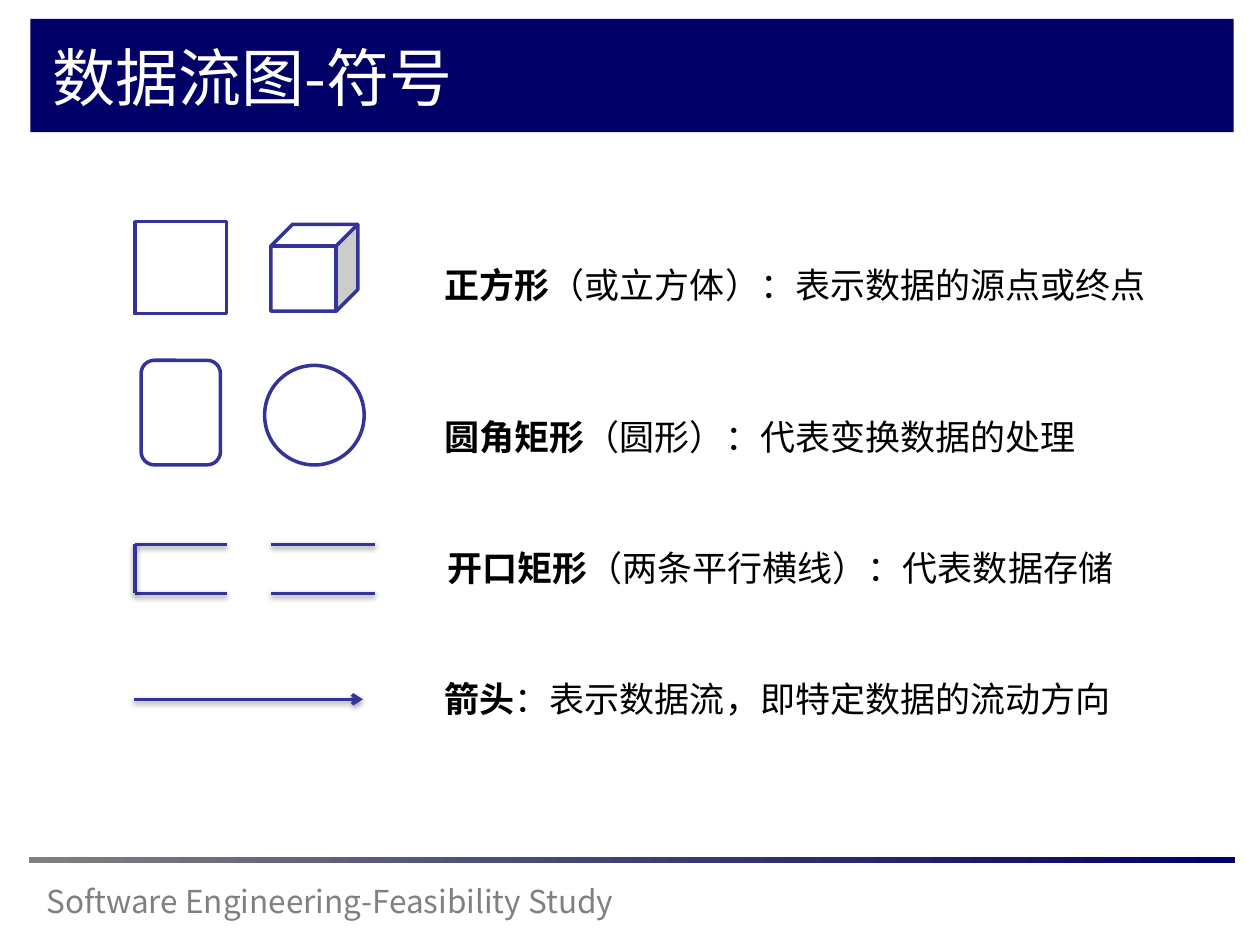
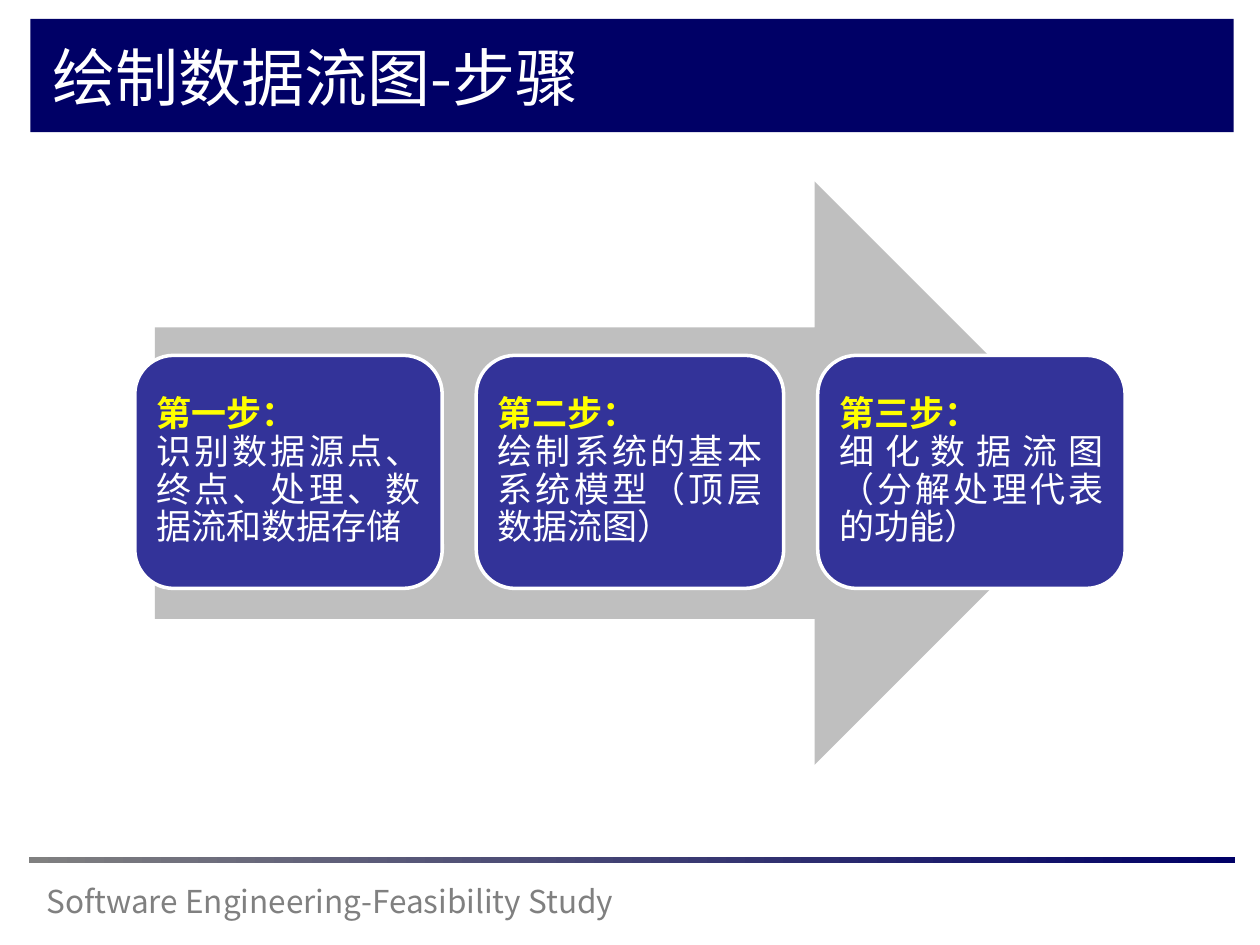
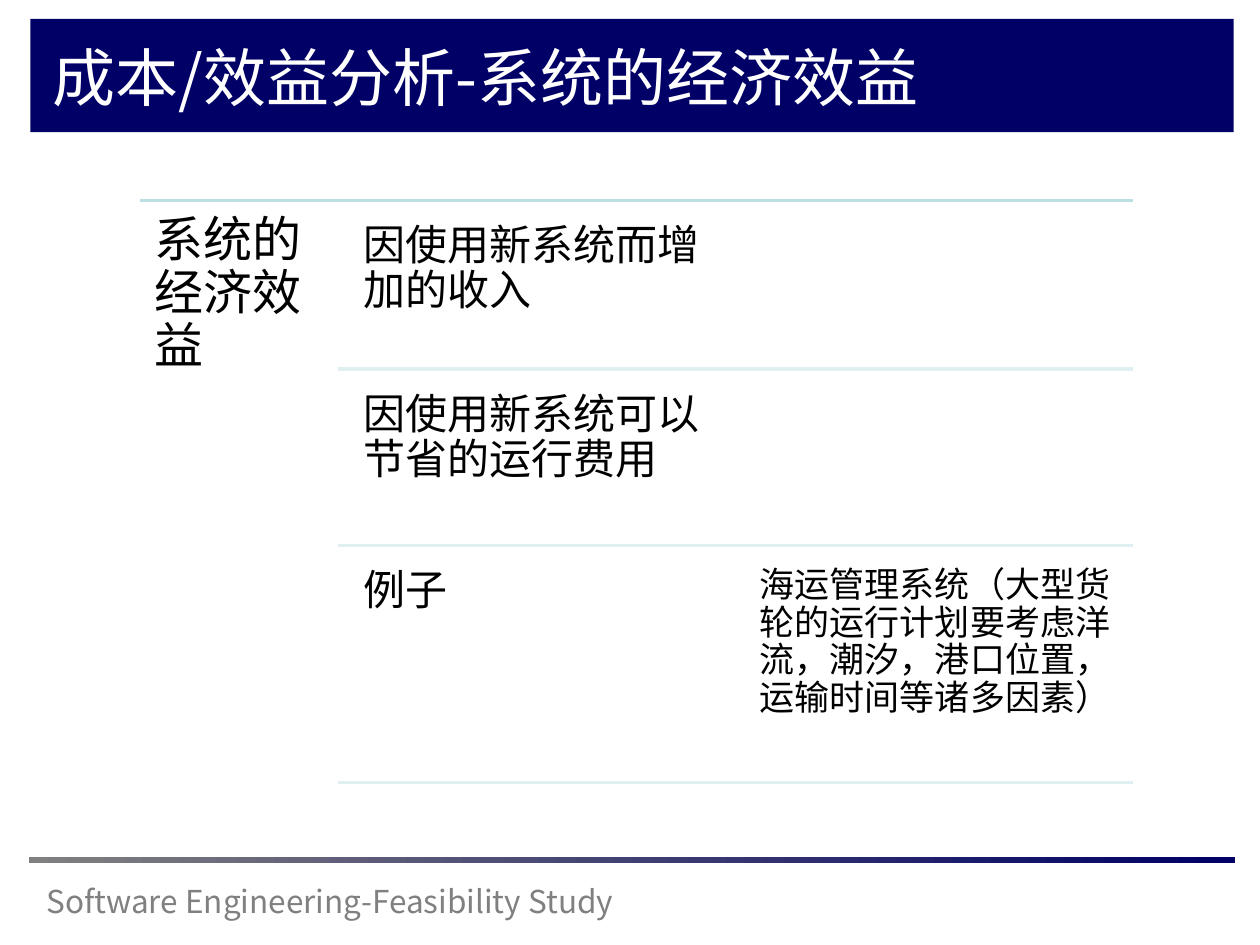
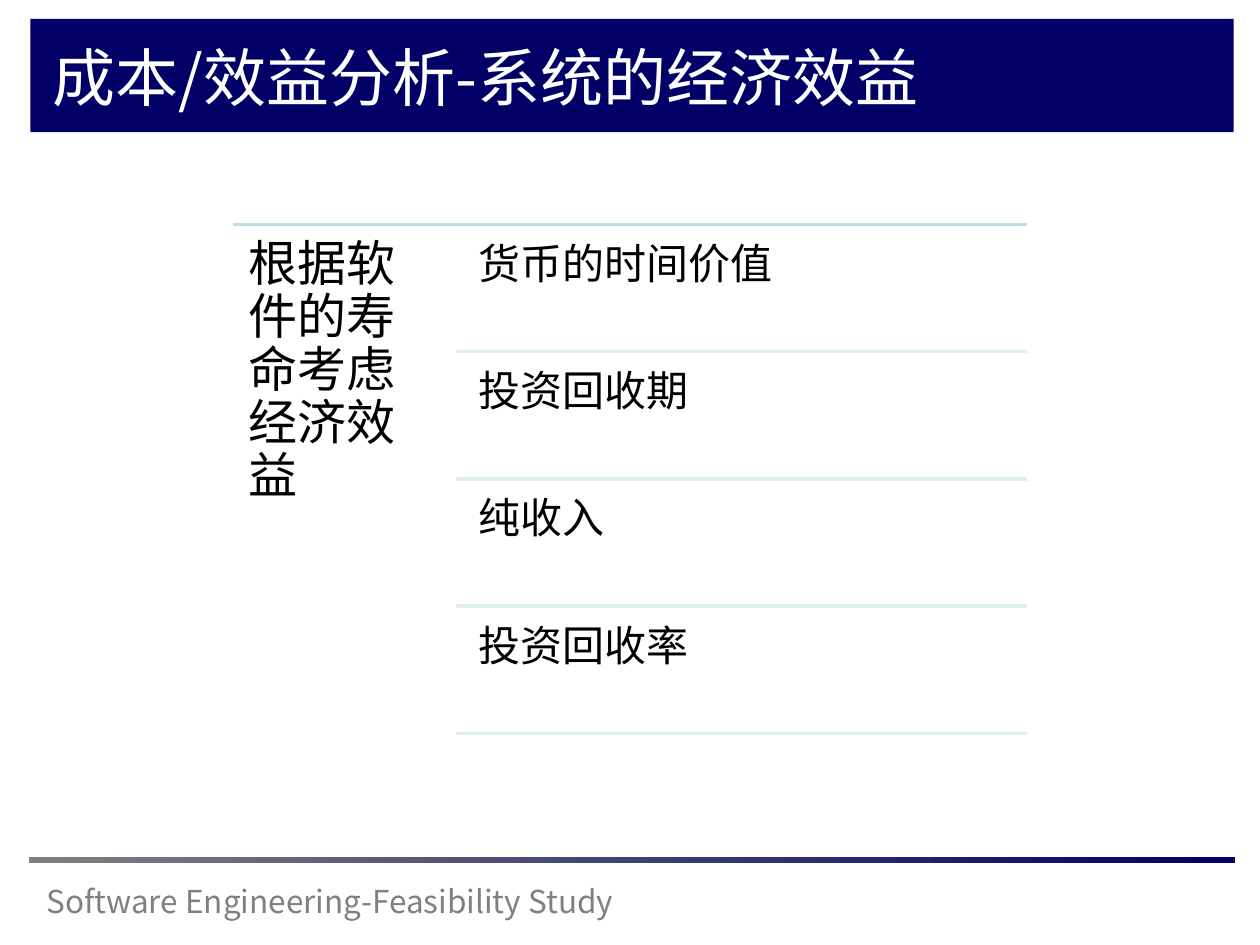
from dataclasses import dataclass
from itertools import pairwise

from lxml.etree import SubElement
from pptx import Presentation
from pptx.dml.color import RGBColor
from pptx.enum.shapes import MSO_CONNECTOR, MSO_SHAPE as Preset
from pptx.enum.text import MSO_ANCHOR as Anchor, PP_ALIGN as Align
from pptx.oxml.ns import qn
from pptx.shapes.autoshape import Shape
from pptx.slide import Slide
from pptx.util import Pt

EMU_PER_PX = 9144
FONT = "Noto Sans CJK SC"
NAVY, BLUE, GRAY, SILVER = "000066", "333399", "808080", "BFBFBF"
WHITE, BLACK, YELLOW = "FFFFFF", "000000", "FFFF00"
TEAL, PALE_TEAL = "BBE0E3", "E0F0F2"
FOOTER = "Software Engineering-Feasibility Study"


@dataclass(frozen=True)
class Frame:
    left: int
    top: int
    width: int
    height: int

    def emu(self) -> tuple[int, ...]:
        return tuple(px(v) for v in (self.left, self.top, self.width, self.height))


@dataclass(frozen=True)
class Span:
    text: str
    size: int
    color: str = BLACK
    bold: bool = False


@dataclass(frozen=True)
class Symbol:
    preset: Preset
    frame: Frame


@dataclass(frozen=True)
class Meaning:
    left: int
    top: int
    width: int
    term: str
    detail: str


@dataclass(frozen=True)
class Stroke:
    start: tuple[int, int]
    end: tuple[int, int]
    arrow: bool = False


@dataclass(frozen=True)
class Step:
    heading: str
    detail: str


@dataclass(frozen=True)
class Outline:
    label: str
    label_frame: Frame
    right: int
    indent: int
    gap: int
    item_width: int
    items: tuple[str, ...]
    edges: tuple[int, ...]


def px(value: int) -> int:
    return value * EMU_PER_PX


def rgb(value: str) -> RGBColor:
    return RGBColor.from_string(value)


def write(shape: Shape, paragraphs: list[list[Span]], inset: int | None = None,
          anchor: Anchor = Anchor.TOP, **para_format) -> None:
    frame = shape.text_frame
    frame.word_wrap = True
    frame.vertical_anchor = anchor
    if inset is not None:
        for side in ("left", "top", "right", "bottom"):
            setattr(frame, f"margin_{side}", px(inset))
    for index, spans in enumerate(paragraphs):
        para = frame.add_paragraph() if index else frame.paragraphs[0]
        for name, value in ({"alignment": Align.LEFT} | para_format).items():
            setattr(para, name, value)
        for span in spans:
            run = para.add_run()
            run.text = span.text
            settings = {"size": Pt(span.size), "bold": span.bold, "name": FONT}
            for name, value in settings.items():
                setattr(run.font, name, value)
            run.font.color.rgb = rgb(span.color)
            SubElement(run.font._element, qn("a:ea"), typeface=FONT)


def add_text(page: Slide, frame: Frame, spans: list[Span], **options) -> None:
    write(page.shapes.add_textbox(*frame.emu()), [spans], **options)


def add_shape(page: Slide, preset: Preset, frame: Frame, fill: str,
              line: str | None = None) -> Shape:
    shape = page.shapes.add_shape(preset, *frame.emu())
    shape.shadow.inherit = False
    shape.fill.solid()
    shape.fill.fore_color.rgb = rgb(fill)
    if line:
        shape.line.color.rgb = rgb(line)
        shape.line.width = Pt(2)
    else:
        shape.line.fill.background()
    return shape


def add_line(page: Slide, stroke: Stroke, color: str, shadow: bool = False) -> None:
    points = (px(v) for v in stroke.start + stroke.end)
    connector = page.shapes.add_connector(MSO_CONNECTOR.STRAIGHT, *points)
    connector.line.color.rgb = rgb(color)
    connector.line.width = Pt(2)
    if stroke.arrow:
        SubElement(connector.line._get_or_add_ln(), qn("a:tailEnd"), type="arrow")
    effects = SubElement(connector._element.spPr, qn("a:effectLst"))
    if shadow:
        outer = SubElement(effects, qn("a:outerShdw"), blurRad="40000",
                           dist="20000", dir="5400000", rotWithShape="0")
        tint = SubElement(outer, qn("a:srgbClr"), val=BLACK)
        SubElement(tint, qn("a:alpha"), val="38000")


def add_page(deck: Presentation, title: str) -> Slide:
    page = deck.slides.add_slide(deck.slide_layouts[6])
    add_shape(page, Preset.RECTANGLE, Frame(24, 15, 955, 90), NAVY)
    add_text(page, Frame(27, 695, 517, 40), [Span(FOOTER, 18, GRAY)])
    rule = add_shape(page, Preset.RECTANGLE, Frame(23, 680, 957, 5), NAVY)
    rule.fill.gradient()
    rule.fill.gradient_angle = 0
    for stop, color in zip(rule.fill.gradient_stops, (GRAY, NAVY)):
        stop.color.rgb = rgb(color)
    add_text(page, Frame(32, 26, 881, 74), [Span(title, 36, WHITE)])
    return page


SYMBOLS = (
    Symbol(Preset.RECTANGLE, Frame(107, 176, 73, 73)),
    Symbol(Preset.CUBE, Frame(215, 178, 69, 69)),
    Symbol(Preset.ROUNDED_RECTANGLE, Frame(112, 286, 63, 83)),
    Symbol(Preset.OVAL, Frame(210, 290, 79, 79)),
)
MEANINGS = (
    Meaning(343, 204, 581, "正方形", "（或立方体）：表示数据的源点或终点"),
    Meaning(343, 325, 567, "圆角矩形", "（圆形）：代表变换数据的处理"),
    Meaning(345, 429, 562, "开口矩形", "（两条平行横线）：代表数据存储"),
    Meaning(343, 533, 562, "箭头", "：表示数据流，即特定数据的流动方向"),
)
STORE_TOP, STORE_BOTTOM = 432, 471
STROKES = (
    *(Stroke((left, y), (right, y))
      for left, right in ((107, 180), (215, 298))
      for y in (STORE_TOP, STORE_BOTTOM)),
    Stroke((107, STORE_TOP), (107, STORE_BOTTOM)),
    Stroke((106, 555), (288, 555), arrow=True),
)
STEPS = (
    Step("第一步：", "识别数据源点、终点、处理、数据流和数据存储"),
    Step("第二步：", "绘制系统的基本系统模型（顶层数据流图）"),
    Step("第三步：", "细化数据流图（分解处理代表的功能）"),
)
BENEFITS = Outline(
    "系统的经济效益", Frame(111, 159, 157, 472), 899, 11, 9, 303,
    ("因使用新系统而增加的收入", "因使用新系统可以节省的运行费用", "例子"),
    (159, 293, 433, 621),
)
EXAMPLE = "海运管理系统（大型货轮的运行计划要考虑洋流，潮汐，港口位置，运输时间等诸多因素）"
LIFETIME = Outline(
    "根据软件的寿命考虑经济效益", Frame(185, 178, 177, 409), 815, 8, 5, 444,
    ("货币的时间价值", "投资回收期", "纯收入", "投资回收率"),
    tuple(range(178, 583, 101)),
)


def draw_symbols(page: Slide) -> None:
    for symbol in SYMBOLS:
        add_shape(page, symbol.preset, symbol.frame, WHITE, BLUE)
    for meaning in MEANINGS:
        spans = [Span(meaning.term, 20, bold=True), Span(meaning.detail, 20)]
        add_text(page, Frame(meaning.left, meaning.top, meaning.width, 44), spans,
                 alignment=Align.JUSTIFY)
    for stroke in STROKES:
        add_line(page, stroke, BLUE, shadow=True)


def draw_steps(page: Slide) -> None:
    add_shape(page, Preset.RIGHT_ARROW, Frame(123, 144, 755, 463), SILVER)
    for index, step in enumerate(STEPS):
        frame = Frame(107 + 271 * index, 282, 244, 185)
        card = add_shape(page, Preset.ROUNDED_RECTANGLE, frame, BLUE, WHITE)
        write(card, [[Span(step.heading, 20, YELLOW, True)],
                     [Span(step.detail, 20, WHITE)]],
              inset=8, anchor=Anchor.MIDDLE, alignment=Align.JUSTIFY, line_spacing=0.9)


def draw_outline(page: Slide, outline: Outline) -> None:
    label = outline.label_frame
    add_line(page, Stroke((label.left, label.top), (outline.right, label.top)), TEAL)
    add_text(page, label, [Span(outline.label, 28)], inset=12, line_spacing=0.9)
    left = label.left + label.width
    for item, (start, end) in zip(outline.items, pairwise(outline.edges)):
        top = start + outline.gap
        frame = Frame(left + outline.indent, top, outline.item_width, end - top)
        add_text(page, frame, [Span(item, 24)], inset=10, line_spacing=0.9)
        add_line(page, Stroke((left, end), (outline.right, end)), PALE_TEAL)


def main() -> None:
    deck = Presentation()
    deck.slide_width, deck.slide_height = px(1000), px(750)
    draw_symbols(add_page(deck, "数据流图-符号"))
    draw_steps(add_page(deck, "绘制数据流图-步骤"))
    benefit_title = "成本/效益分析-系统的经济效益"
    page = add_page(deck, benefit_title)
    draw_outline(page, BENEFITS)
    add_text(page, Frame(595, 442, 303, 179), [Span(EXAMPLE, 20)],
             inset=8, line_spacing=0.9)
    draw_outline(add_page(deck, benefit_title), LIFETIME)
    deck.save("out.pptx")


if __name__ == "__main__":
    main()
